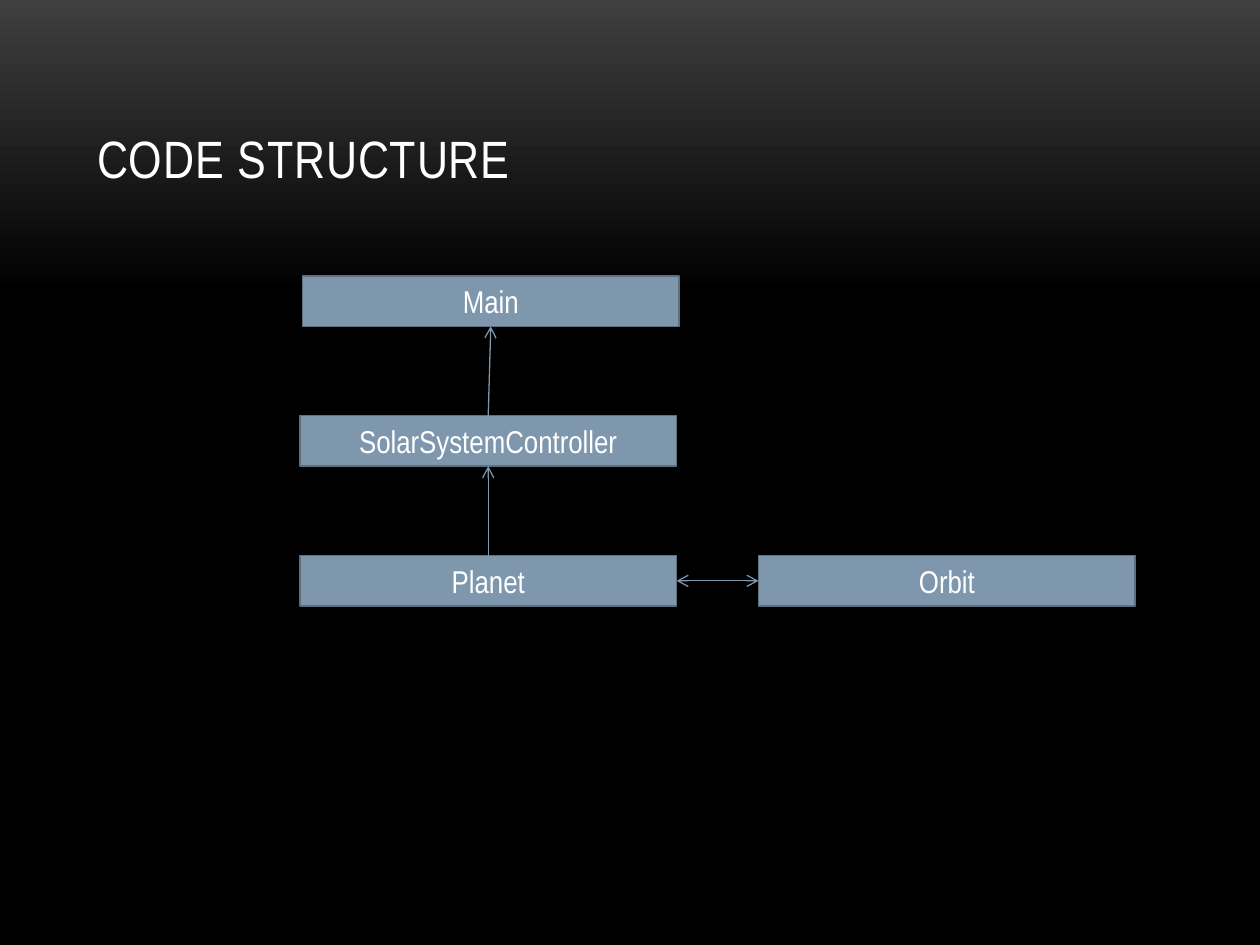
import pptx
import pptx.util
import pptx.dml.color
import pptx.enum.shapes
import pptx.enum.text
import pptx.oxml.ns
import lxml.etree

Inches = pptx.util.Inches
Pt = pptx.util.Pt
RGBColor = pptx.dml.color.RGBColor
Align = pptx.enum.text.PP_ALIGN
Anchor = pptx.enum.text.MSO_ANCHOR
Fit = pptx.enum.text.MSO_AUTO_SIZE

WHITE = RGBColor(0xFF, 0xFF, 0xFF)
BLACK = RGBColor(0x00, 0x00, 0x00)
GREY = RGBColor(0x3F, 0x3F, 0x3F)
BLUE = RGBColor(0x7E, 0x97, 0xAD)
EDGE = RGBColor(0x5D, 0x70, 0x80)
FONT = "Arial Narrow"

BOX_W, BOX_H = 2.99, 0.4
TOP, STEP = 2.19, 1.11
TOP_SITE, LEFT_SITE, BOTTOM_SITE, RIGHT_SITE = range(4)


def put_text(shape, text, size, align, anchor, fit=Fit.NONE, space=None):
    """Fill the shape with one paragraph; space is letter spacing in points."""
    frame = shape.text_frame
    frame.word_wrap = True
    frame.auto_size = fit
    frame.vertical_anchor = anchor
    par = frame.paragraphs[0]
    par.alignment = align
    run = par.add_run()
    run.text = text
    run.font.size = Pt(size)
    run.font.name = FONT
    run.font.color.rgb = WHITE
    if space:
        run.font._element.set("spc", str(int(space * 100)))


def paint_back(slide):
    """Fade from grey at the top edge to black below."""
    fill = slide.background.fill
    fill.gradient()
    fill.gradient_angle = 270
    for stop, color, place in zip(fill.gradient_stops, (GREY, BLACK), (0, 0.31)):
        stop.color.rgb = color
        stop.position = place


def add_title(slide, text):
    title = slide.shapes.title
    title.left, title.top = Inches(0.67), Inches(0.3)
    title.width, title.height = Inches(8.67), Inches(1.25)
    put_text(title, text, 30, Align.LEFT, Anchor.BOTTOM, space=0.5)


def add_box(slide, text, left, row):
    box = slide.shapes.add_shape(
        pptx.enum.shapes.MSO_SHAPE.RECTANGLE,
        Inches(left), Inches(TOP + row * STEP), Inches(BOX_W), Inches(BOX_H))
    box.shadow.inherit = False
    box.fill.solid()
    box.fill.fore_color.rgb = BLUE
    box.line.color.rgb = EDGE
    box.line.width = Pt(0.85)
    put_text(box, text, 18, Align.CENTER, Anchor.MIDDLE, fit=Fit.SHAPE_TO_FIT_TEXT)
    return box


def add_node(parent, tag, **values):
    lxml.etree.SubElement(parent, pptx.oxml.ns.qn(tag), **values)


def add_link(slide, first, first_site, last, last_site, ends=("tailEnd",)):
    """Join two boxes with a line that has open arrowheads at the given ends."""
    link = slide.shapes.add_connector(
        pptx.enum.shapes.MSO_CONNECTOR.STRAIGHT, 0, 0, 0, 0)
    link.begin_connect(first, first_site)
    link.end_connect(last, last_site)
    link.line.color.rgb = BLUE
    link.line.width = Pt(0.75)
    props = link._element.spPr
    for end in ends:
        add_node(props.find(pptx.oxml.ns.qn("a:ln")), "a:" + end, type="arrow")
    add_node(props, "a:effectLst")


def main():
    deck = pptx.Presentation()
    deck.slide_width, deck.slide_height = Inches(10), Inches(7.5)
    slide = deck.slides.add_slide(deck.slide_layouts[5])
    paint_back(slide)
    add_title(slide, "CODE STRUCTURE")

    start = add_box(slide, "Main", 2.4, 0)
    control = add_box(slide, "SolarSystemController", 2.38, 1)
    planet = add_box(slide, "Planet", 2.38, 2)
    orbit = add_box(slide, "Orbit", 6.02, 2)

    add_link(slide, control, TOP_SITE, start, BOTTOM_SITE)
    add_link(slide, planet, TOP_SITE, control, BOTTOM_SITE)
    add_link(slide, planet, RIGHT_SITE, orbit, LEFT_SITE,
             ends=("headEnd", "tailEnd"))
    deck.save("out.pptx")


if __name__ == "__main__":
    main()
